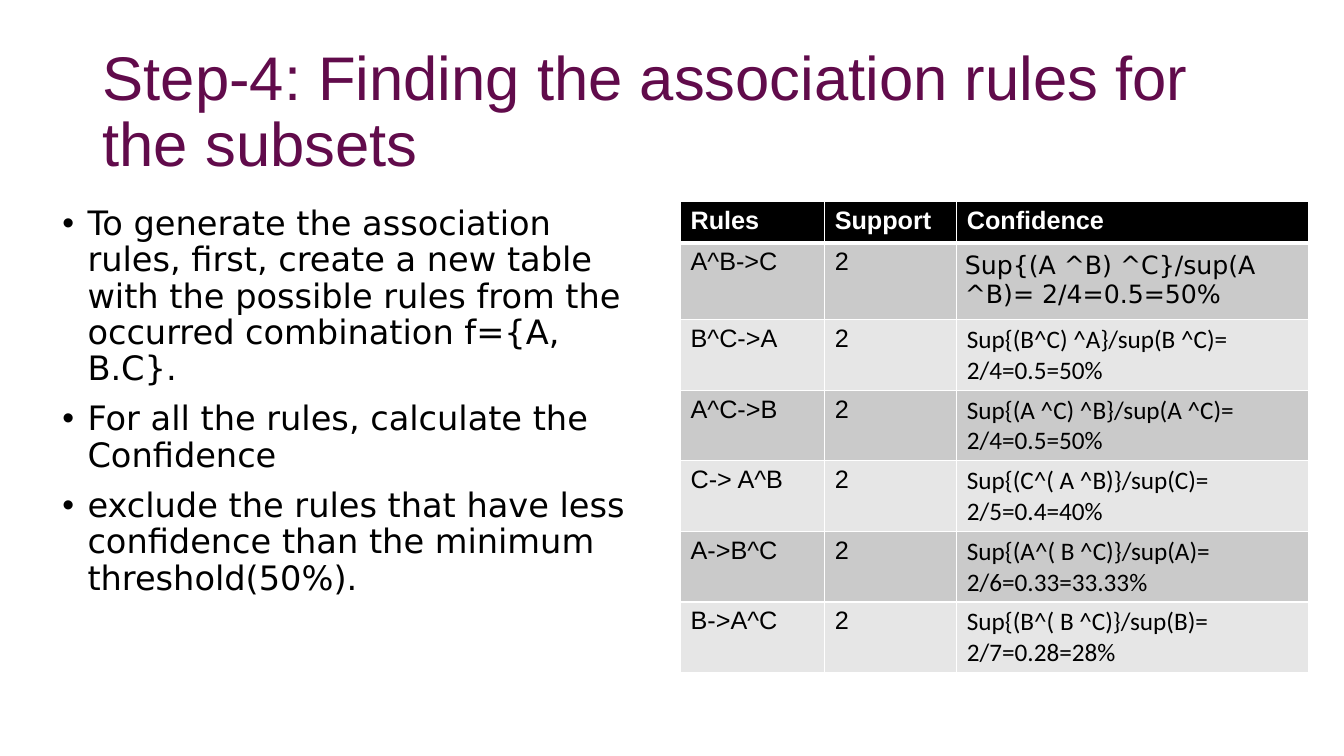
from lxml.etree import SubElement
from pptx import Presentation
from pptx.dml.color import RGBColor as Color
from pptx.enum.text import MSO_ANCHOR as Anchor
from pptx.oxml.ns import qn
from pptx.util import Inches, Pt

COLORS = {"title": "610B4B", "text": "000000", "head": "000000",
          "line": "FFFFFF", "odd": "CACACA", "even": "E6E6E6"}
TITLE = "Step-4: Finding the association rules for the subsets"
POINTS = [
    "To generate the association rules, first, create a new table with the "
    "possible rules from the occurred combination f={A, B.C}.",
    "For all the rules, calculate the Confidence",
    "exclude the rules that have less confidence than the minimum threshold(50%).",
]
HEADS = ["Rules", "Support", "Confidence"]
RULES = [
    ("A^B->C", "2", "Sup{(A ^B) ^C}/sup(A ^B)= 2/4=0.5=50%"),
    ("B^C->A", "2", "Sup{(B^C) ^A}/sup(B ^C)= 2/4=0.5=50%"),
    ("A^C->B", "2", "Sup{(A ^C) ^B}/sup(A ^C)= 2/4=0.5=50%"),
    ("C-> A^B", "2", "Sup{(C^( A ^B)}/sup(C)= 2/5=0.4=40%"),
    ("A->B^C", "2", "Sup{(A^( B ^C)}/sup(A)= 2/6=0.33=33.33%"),
    ("B->A^C", "2", "Sup{(B^( B ^C)}/sup(B)= 2/7=0.28=28%"),
]
WIDTHS = [1.43, 1.31, 3.49]
ROW = 0.41


def rgb(name):
    """Return the named colour."""
    return Color.from_string(COLORS[name])


def write(para, text, size=18, font="Arial", color="text", bold=False, space=None):
    """Put formatted text in a paragraph."""
    run = para.add_run()
    run.text = text
    run.font.size = Pt(size)
    run.font.name = font
    run.font.bold = bold
    run.font.color.rgb = rgb(color)
    if space:
        para.line_spacing = space


def add_frame(slide, box):
    """Add a wrapping text box and return its frame."""
    frame = slide.shapes.add_textbox(*map(Inches, box)).text_frame
    frame.word_wrap = True
    return frame


def add_title(slide, box):
    """Place the slide title."""
    frame = add_frame(slide, box)
    frame.vertical_anchor = Anchor.MIDDLE
    write(frame.paragraphs[0], TITLE, size=44, color="title", space=0.9)


def add_points(slide, box):
    """Place the bullet list."""
    frame = add_frame(slide, box)
    for i, point in enumerate(POINTS):
        para = frame.paragraphs[0] if i == 0 else frame.add_paragraph()
        write(para, point, size=24, font="DejaVu Sans", space=0.9)
        para.space_before = Pt(10 if i else 0)
        props = para._p.get_or_add_pPr()
        props.set("marL", str(Inches(0.25)))
        props.set("indent", str(Inches(-0.25)))
        SubElement(props, qn("a:buFont"), typeface="Arial")
        SubElement(props, qn("a:buChar"), char="•")


def add_edges(cell, row):
    """Draw white cell borders, thicker below the header."""
    props = cell._tc.get_or_add_tcPr()
    for side in "LRTB":
        thick = (row, side) in [(0, "B"), (1, "T")]
        line = SubElement(props, qn(f"a:ln{side}"), w=str(Pt(3 if thick else 1)))
        fill = SubElement(line, qn("a:solidFill"))
        SubElement(fill, qn("a:srgbClr"), val=COLORS["line"])


def add_rules(slide, left, top):
    """Place the table of rules."""
    rows = [HEADS, *RULES]
    size = (left, top, sum(WIDTHS), ROW * len(rows))
    table = slide.shapes.add_table(
        len(rows), len(HEADS), *map(Inches, size)).table
    for col, width in zip(table.columns, WIDTHS):
        col.width = Inches(width)
    for r, row in enumerate(rows):
        table.rows[r].height = Inches(ROW)
        for c, text in enumerate(row):
            cell = table.cell(r, c)
            add_edges(cell, r)
            cell.fill.solid()
            cell.fill.fore_color.rgb = rgb(
                "head" if r == 0 else "odd" if r % 2 else "even")
            font = "Arial"
            if r and c == 2:
                font = "DejaVu Sans" if r == 1 else "Calibri"
            pad = (0.08, 0.08) if font == "DejaVu Sans" else (0.1, 0.05)
            cell.margin_left = cell.margin_right = Inches(pad[0])
            cell.margin_top = cell.margin_bottom = Inches(pad[1])
            write(cell.text_frame.paragraphs[0], text, font=font,
                  color="text" if r else "line", bold=r == 0)


def main():
    """Build and save the slide."""
    deck = Presentation()
    deck.slide_width, deck.slide_height = Inches(13.33), Inches(7.5)
    slide = deck.slides.add_slide(deck.slide_layouts[6])
    add_title(slide, (0.92, 0.4, 11.5, 1.45))
    add_points(slide, (0.52, 2, 6.06, 4.76))
    add_rules(slide, 6.75, 2)
    deck.save("out.pptx")


if __name__ == "__main__":
    main()
